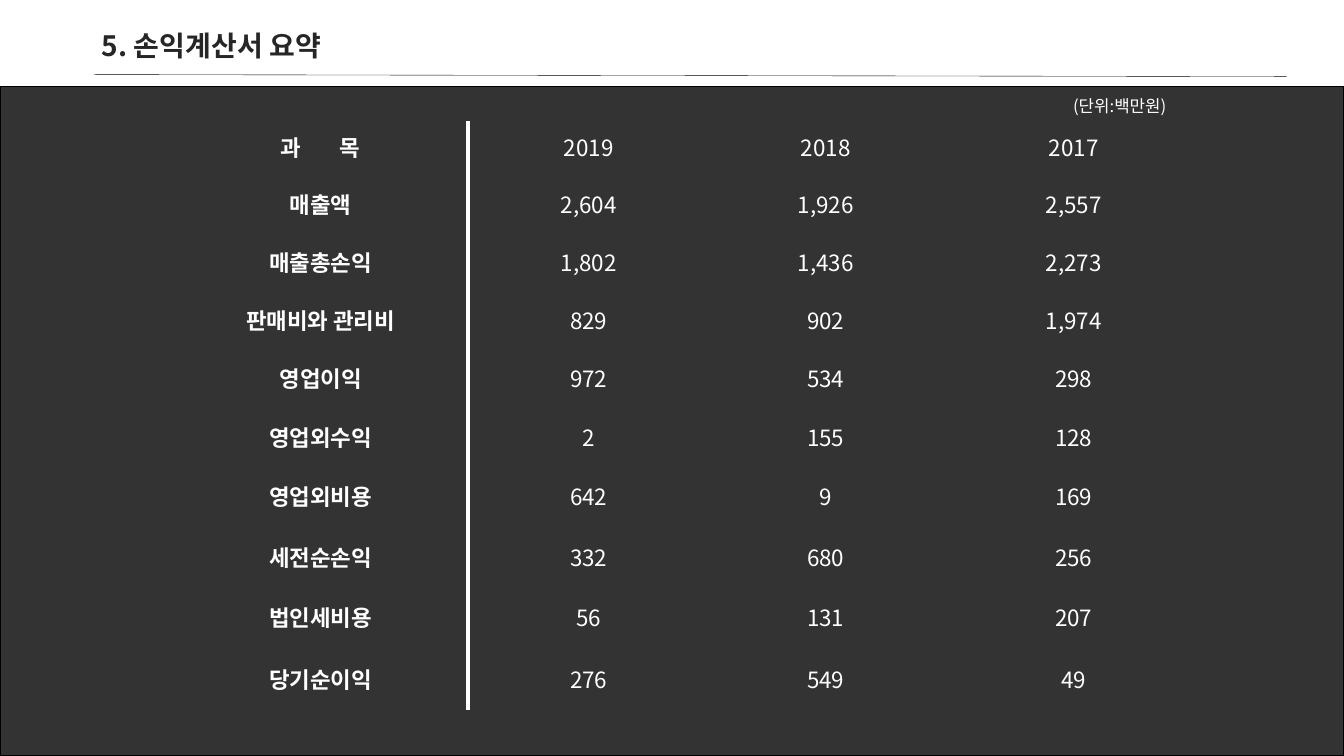
from lxml import etree
from pptx import Presentation
from pptx.dml.color import RGBColor
from pptx.enum.shapes import MSO_CONNECTOR, MSO_SHAPE
from pptx.enum.text import MSO_ANCHOR, MSO_AUTO_SIZE, PP_ALIGN
from pptx.oxml.ns import qn
from pptx.util import Inches, Pt

RECT = MSO_SHAPE.RECTANGLE
LINE = MSO_CONNECTOR.STRAIGHT
MIDDLE = MSO_ANCHOR.MIDDLE
NO_FIT = MSO_AUTO_SIZE.NONE
LEFT, CENTER = PP_ALIGN.LEFT, PP_ALIGN.CENTER
FONT = "Noto Sans CJK KR"
BLACK, WHITE, GREY = "000000", "FFFFFF", "262626"
PLAIN = "{2D5ABB26-0587-4C30-8999-92F81FD0307C}"

ROWS = [
    ("과 목", "2019", "2018", "2017"),
    ("매출액", "2,604", "1,926", "2,557"),
    ("매출총손익", "1,802", "1,436", "2,273"),
    ("판매비와 관리비", "829", "902", "1,974"),
    ("영업이익", "972", "534", "298"),
    ("영업외수익", "2", "155", "128"),
    ("영업외비용", "642", "9", "169"),
    ("세전순손익", "332", "680", "256"),
    ("법인세비용", "56", "131", "207"),
    ("당기순이익", "276", "549", "49"),
]
WIDTHS = [2.92, 2.4, 2.3, 2.62]
HEIGHTS = [0.56, 0.57, 0.57, 0.58, 0.58, 0.58, 0.6, 0.6, 0.6, 0.62]


def paint(part, color):
    """Give a fill or line format a solid colour."""
    part.solid()
    part.fore_color.rgb = RGBColor.from_string(color)


def style(para, size, color, bold=False, align=CENTER):
    """Format every run of a paragraph."""
    para.alignment = align
    for run in para.runs:
        font = run.font
        font.size, font.bold = Pt(size), bold
        paint(font.fill, color)
        font.name = FONT
        etree.SubElement(run._r.rPr, qn("a:ea"), typeface=FONT)


def rule(slide, start, end, color, width):
    """Draw a straight line between two points."""
    line = slide.shapes.add_connector(LINE, *map(Inches, start + end))
    paint(line.line.fill, color)
    line.line.width = Pt(width)
    etree.SubElement(line._element.spPr, qn("a:effectLst"))


def panel(slide, left, top, width, height):
    """Lay the dark translucent panel in its box."""
    box = slide.shapes.add_shape(RECT, *map(Inches, (left, top, width, height)))
    box.shadow.inherit = False
    paint(box.fill, BLACK)
    tint = box._element.spPr.find(qn("a:solidFill"))[0]
    etree.SubElement(tint, qn("a:alpha"), val="80000")
    paint(box.line.fill, BLACK)
    box.line.width = Pt(1)


def header(slide, left, top, width, height):
    """Place the title with the thin rule below it."""
    title = slide.shapes.title
    title.left, title.top = Inches(left), Inches(top)
    title.width, title.height = Inches(width), Inches(height)
    frame = title.text_frame
    frame.text = "5. 손익계산서 요약"
    frame.auto_size, frame.vertical_anchor = NO_FIT, MIDDLE
    style(frame.paragraphs[0], 20, GREY, True, LEFT)
    base = top + height
    rule(slide, (left + 0.02, base + 0.08), (left + 11.85, base + 0.1), BLACK, 0.25)


def unit(slide, left, top, width, height):
    """Place the note on the unit of the figures."""
    note = slide.shapes.add_textbox(*map(Inches, (left, top, width, height)))
    note.text_frame.word_wrap = True
    note.text_frame.text = "(단위:백만원)"
    style(note.text_frame.paragraphs[0], 12, WHITE)


def income(slide, left, top, width, height):
    """Build the income table and the bar after its first column."""
    box = map(Inches, (left, top, width, height))
    table = slide.shapes.add_table(len(ROWS), len(WIDTHS), *box).table
    table.first_row = table.horz_banding = False
    table._tbl.tblPr.find(qn("a:tableStyleId")).text = PLAIN
    for col, size in zip(table.columns, WIDTHS):
        col.width = Inches(size)
    for row, size, texts in zip(table.rows, HEIGHTS, ROWS):
        row.height = Inches(size)
        for index, (cell, text) in enumerate(zip(row.cells, texts)):
            cell.fill.background()
            cell.vertical_anchor = MIDDLE
            cell.text_frame.text = text
            style(cell.text_frame.paragraphs[0], 16, WHITE, index == 0)
    spread(table.cell(0, 0).text_frame.paragraphs[0])
    edge = left + WIDTHS[0]
    rule(slide, (edge, top + 0.02), (edge, top + height), WHITE, 3)


def spread(para):
    """Widen the gap between the two syllables of the heading."""
    head, tail = para.text.split()
    para.runs[0].text = head + " "
    para.add_run().text = tail
    style(para, 16, WHITE, True)
    para.runs[0]._r.rPr.set("spc", "1200")
    first = para.runs[0]._r.rPr
    first.remove(first.findall(qn("a:ea"))[-1])


def main():
    """Build and save the slide."""
    deck = Presentation()
    deck.slide_width, deck.slide_height = Inches(13.33), Inches(7.5)
    slide = deck.slides.add_slide(deck.slide_layouts[5])
    panel(slide, 0, 0.86, 13.33, 6.64)
    header(slide, 0.91, 0.23, 11.93, 0.43)
    unit(slide, 10.36, 0.9, 1.49, 0.43)
    income(slide, 1.72, 1.18, sum(WIDTHS), sum(HEIGHTS))
    deck.save("out.pptx")


if __name__ == "__main__":
    main()
